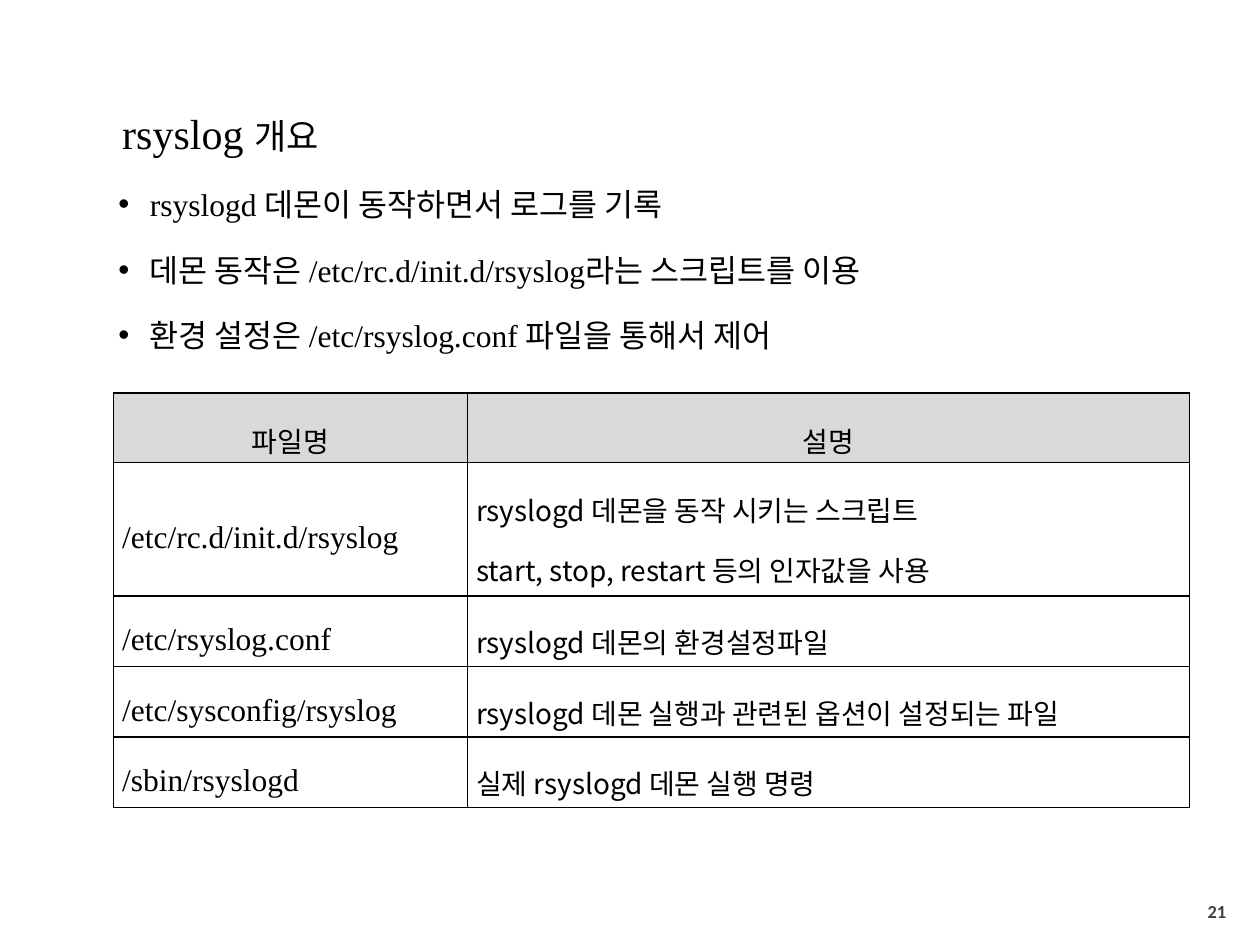
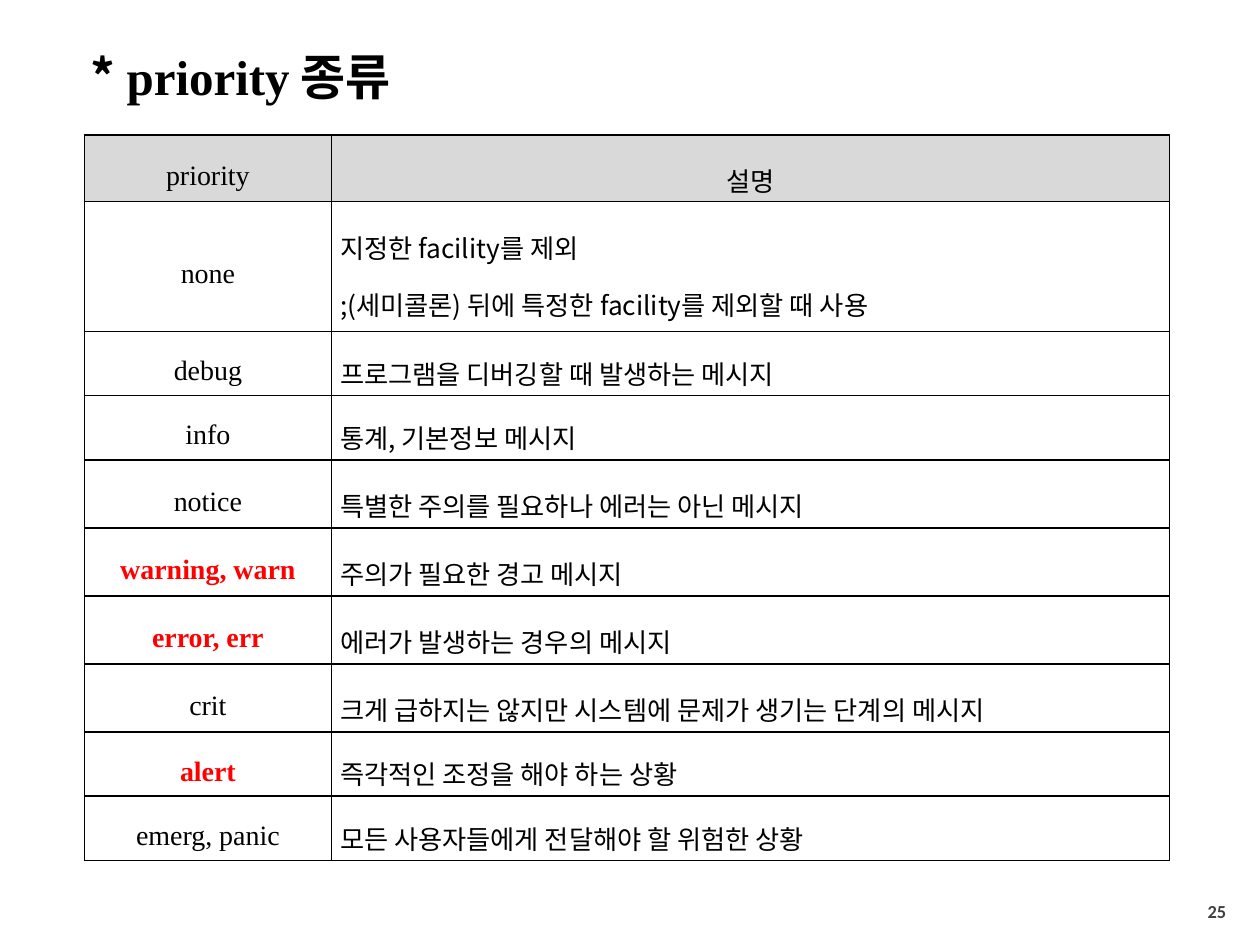
from lxml import etree
from pptx import Presentation
from pptx.dml.color import RGBColor
from pptx.enum import text
from pptx.oxml import ns
from pptx.util import Inches, Pt

COLORS = {"ink": "000000", "alert": "FF0000", "page": "404040",
          "head": "D9D9D9", "cell": "FFFFFF"}
LATIN, KOREAN, NUMBER = "Times New Roman", "Noto Sans CJK KR", "Calibri"
LEFT, CENTER = text.PP_ALIGN.LEFT, text.PP_ALIGN.CENTER
RIGHT, JUSTIFY = text.PP_ALIGN.RIGHT, text.PP_ALIGN.JUSTIFY
MIDDLE = text.MSO_ANCHOR.MIDDLE

# Paragraph runs are (text, font), with a size where it varies.
OVERVIEW_TITLE = [("rsyslog ", LATIN, 24), ("개요", KOREAN, 20)]
OVERVIEW_POINTS = [
    [("rsyslogd ", LATIN), ("데몬이 동작하면서 로그를 기록", KOREAN)],
    [("데몬 동작은 ", KOREAN), ("/etc/rc.d/init.d/rsyslog", LATIN),
     ("라는 스크립트를 이용", KOREAN)],
    [("환경 설정은 ", KOREAN), ("/etc/rsyslog.conf ", LATIN),
     ("파일을 통해서 제어", KOREAN)],
]
PRIORITY_TITLE = [("* ", KOREAN), ("priority", LATIN), (" 종류", KOREAN)]

# Table rows are (key, description lines, row height, description spacing).
FILES = {
    "at": (0.9, 3.12), "cols": (2.81, 5.73), "key_align": LEFT,
    "key_size": 18, "text_size": 16,
    "head": ("파일명", "설명", 0.55),
    "rows": [
        ("/etc/rc.d/init.d/rsyslog",
         ["rsyslogd 데몬을 동작 시키는 스크립트",
          "start, stop, restart 등의 인자값을 사용"], 1.06, 1.5),
        ("/etc/rsyslog.conf", ["rsyslogd 데몬의 환경설정파일"], 0.56, 1.5),
        ("/etc/sysconfig/rsyslog",
         ["rsyslogd 데몬 실행과 관련된 옵션이 설정되는 파일"], 0.56, 1.5),
        ("/sbin/rsyslogd", ["실제 rsyslogd 데몬 실행 명령"], 0.56, 1.5),
    ],
}
PRIORITIES = {
    "at": (0.67, 1.07), "cols": (1.96, 6.65), "key_align": CENTER,
    "key_size": 16, "text_size": 15,
    "head": ("priority", "설명", 0.53),
    "rows": [
        ("none", ["지정한 facility를 제외",
                  ";(세미콜론) 뒤에 특정한 facility를 제외할 때 사용"], 1.03, 1.5),
        ("debug", ["프로그램을 디버깅할 때 발생하는 메시지"], 0.51, 1.5),
        ("info", ["통계, 기본정보 메시지"], 0.51, 1.5),
        ("notice", ["특별한 주의를 필요하나 에러는 아닌 메시지"], 0.54, 1.6),
        ("warning, warn", ["주의가 필요한 경고 메시지"], 0.54, 1.6),
        ("error, err", ["에러가 발생하는 경우의 메시지"], 0.54, 1.6),
        ("crit", ["크게 급하지는 않지만 시스템에 문제가 생기는 단계의 메시지"], 0.54, 1.6),
        ("alert", ["즉각적인 조정을 해야 하는 상황"], 0.51, 1.5),
        ("emerg, panic", ["모든 사용자들에게 전달해야 할 위험한 상황"], 0.51, 1.5),
    ],
}
HIGHLIGHTED = {"warning, warn", "error, err", "alert"}


def rgb(name):
    return RGBColor.from_string(COLORS[name])


def add_run(p, content, font, size, color="ink", bold=False):
    r = p.add_run()
    r.text = content
    r.font.name, r.font.size, r.font.bold = font, Pt(size), bold
    r.font.color.rgb = rgb(color)
    latin = r.font._element.find(ns.qn("a:latin"))
    east_asian = etree.Element(ns.qn("a:ea"), typeface=KOREAN)
    latin.addnext(east_asian)


def set_paragraph(p, align, spacing, before=0):
    p.alignment, p.line_spacing = align, spacing
    p.space_before, p.space_after = Pt(before), Pt(0)


def set_bullet(p, margin, indent, char=None):
    """Set margin and first-line indent in inches; no char means no bullet."""
    pPr = p._p.get_or_add_pPr()
    pPr.set("marL", str(Inches(margin)))
    pPr.set("indent", str(Inches(indent)))
    if char:
        etree.SubElement(pPr, ns.qn("a:buFont"), typeface="Arial")
        etree.SubElement(pPr, ns.qn("a:buChar"), char=char)
    else:
        etree.SubElement(pPr, ns.qn("a:buNone"))


def add_slide(prs, body_box, number):
    """Add a slide with its page number and return it with its body frame."""
    slide = prs.slides.add_slide(prs.slide_layouts[1])
    title, body = slide.placeholders
    title._element.getparent().remove(title._element)
    body.left, body.top, body.width, body.height = map(Inches, body_box)
    tf = body.text_frame
    tf.auto_size, tf.word_wrap = text.MSO_AUTO_SIZE.NONE, True
    tf.vertical_anchor = text.MSO_ANCHOR.TOP

    page = slide.shapes.add_textbox(*map(Inches, (7.5, 7.03, 2.33, 0.4)))
    page.text_frame.word_wrap = True
    page.text_frame.vertical_anchor = MIDDLE
    p = page.text_frame.paragraphs[0]
    p.alignment = RIGHT
    add_run(p, str(number), NUMBER, 10.5, "page", True)
    return slide, tf


def fill_cell(cell, lines, size, align, spacing, fill="cell", **style):
    cell.fill.solid()
    cell.fill.fore_color.rgb = rgb(fill)
    cell.vertical_anchor = MIDDLE
    cell.margin_left = cell.margin_right = Inches(0.07)
    cell.margin_top = cell.margin_bottom = Inches(0.02)
    tcPr = cell._tc.get_or_add_tcPr()
    for i, side in enumerate(("lnL", "lnR", "lnT", "lnB")):
        ln = etree.Element(ns.qn(f"a:{side}"), w=str(Pt(1)))
        solid = etree.SubElement(ln, ns.qn("a:solidFill"))
        etree.SubElement(solid, ns.qn("a:srgbClr"), val=COLORS["ink"])
        tcPr.insert(i, ln)
    tf = cell.text_frame
    for i, line in enumerate(lines):
        p = tf.add_paragraph() if i else tf.paragraphs[0]
        set_paragraph(p, align, spacing)
        add_run(p, line, LATIN if line.isascii() else KOREAN, size, **style)


def add_table(slide, data):
    heights = [data["head"][2]] + [row[2] for row in data["rows"]]
    box = (*data["at"], sum(data["cols"]), sum(heights))
    frame = slide.shapes.add_table(len(heights), 2, *map(Inches, box))
    table = frame.table
    table.first_row = table.horz_banding = False
    for col, width in zip(table.columns, data["cols"]):
        col.width = Inches(width)
    for row, height in zip(table.rows, heights):
        row.height = Inches(height)

    for c, label in enumerate(data["head"][:2]):
        latin = label.isascii()
        fill_cell(table.cell(0, c), [label],
                  data["key_size"] if latin else data["text_size"],
                  CENTER, 1.5 if latin else 1.6, "head")
    for r, (key, lines, _, spacing) in enumerate(data["rows"], 1):
        marked = key in HIGHLIGHTED
        fill_cell(table.cell(r, 0), [key], data["key_size"], data["key_align"],
                  1.5, color="alert" if marked else "ink", bold=marked)
        fill_cell(table.cell(r, 1), lines, data["text_size"], JUSTIFY, spacing)


def build_overview(prs):
    slide, tf = add_slide(prs, (0.7, 0.4, 8.66, 5.75), 21)
    p = tf.paragraphs[0]
    set_paragraph(p, JUSTIFY, 2.0)
    set_bullet(p, 0.17, 0)
    for content, font, size in OVERVIEW_TITLE:
        add_run(p, content, font, size)
    for runs in OVERVIEW_POINTS:
        p = tf.add_paragraph()
        p.level = 1
        set_paragraph(p, JUSTIFY, 1.5, before=5)
        set_bullet(p, 0.39, -0.25, "•")
        for content, font in runs:
            add_run(p, content, font, 18)
    add_table(slide, FILES)


def build_priorities(prs):
    slide, tf = add_slide(prs, (0.62, 0.37, 8.66, 0.52), 25)
    p = tf.paragraphs[0]
    set_paragraph(p, LEFT, 0.9)
    set_bullet(p, 0, 0)
    for content, font in PRIORITY_TITLE:
        add_run(p, content, font, 28, bold=True)
    add_table(slide, PRIORITIES)


def main():
    prs = Presentation()
    prs.slide_width, prs.slide_height = Inches(10), Inches(7.5)
    build_overview(prs)
    build_priorities(prs)
    prs.save("out.pptx")


if __name__ == "__main__":
    main()
